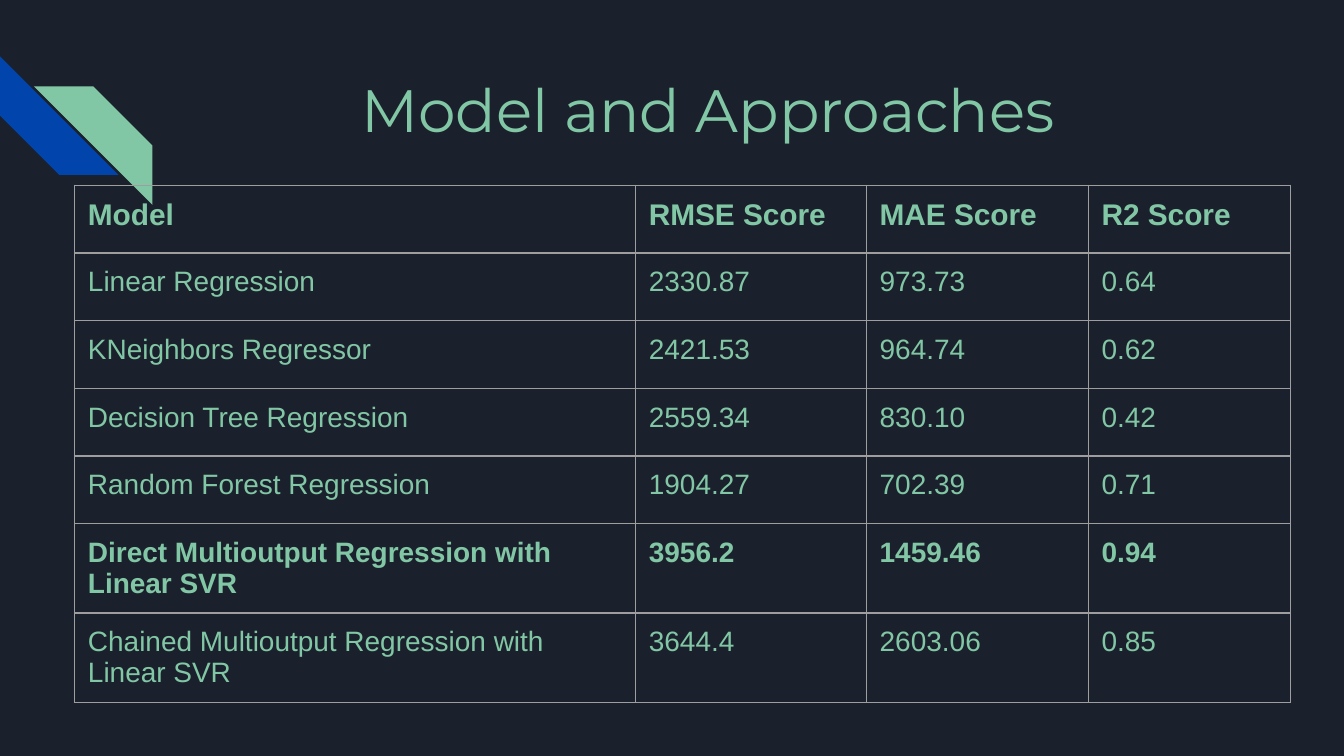
"""Build a slide with a table of regression models and their scores."""
from lxml import etree
from pptx import Presentation
from pptx.dml.color import RGBColor
from pptx.enum.shapes import MSO_SHAPE
from pptx.enum.text import MSO_ANCHOR, PP_ALIGN
from pptx.oxml.ns import qn
from pptx.util import Pt

STRIPE = MSO_SHAPE.DIAGONAL_STRIPE
CENTER = PP_ALIGN.CENTER
LEFT = PP_ALIGN.LEFT
MIDDLE = MSO_ANCHOR.MIDDLE
TOP = MSO_ANCHOR.TOP

COLORS = {"background": "1B212C", "blue": "0145AC", "green": "82C7A5", "border": "9E9E9E"}
INSET = 7.2
STRIPE_SIZE = 63.5
COL_WIDTHS = [300.5, 123.7, 118.9, 108.2]
ROW_HEIGHTS = [36.3] * 5 + [47.6] * 2
BEST_ROW = 5
ROWS = [
    ("Model", "RMSE Score", "MAE Score", "R2 Score"),
    ("Linear Regression", "2330.87", "973.73", "0.64"),
    ("KNeighbors Regressor", "2421.53", "964.74", "0.62"),
    ("Decision Tree Regression", "2559.34", "830.10", "0.42"),
    ("Random Forest Regression", "1904.27", "702.39", "0.71"),
    ("Direct Multioutput Regression with Linear SVR", "3956.2", "1459.46", "0.94"),
    ("Chained Multioutput Regression with Linear SVR", "3644.4", "2603.06", "0.85"),
]


def rgb(name):
    return RGBColor.from_string(COLORS[name])


def set_text(tf, text, size=15, font="Arial", bold=False, color="green", align=LEFT):
    p = tf.paragraphs[0]
    p.alignment = align
    r = p.add_run()
    r.text = text
    r.font.size = Pt(size)
    r.font.name = font
    r.font.bold = bold
    r.font.color.rgb = rgb(color)


def set_insets(box):
    box.margin_left = box.margin_right = Pt(INSET)
    box.margin_top = box.margin_bottom = Pt(INSET)


def add_stripe(s, left, top, color, rotation=0, flip=False):
    sp = s.shapes.add_shape(STRIPE, Pt(left), Pt(top), Pt(STRIPE_SIZE), Pt(STRIPE_SIZE))
    sp.shadow.inherit = False
    sp.fill.solid()
    sp.fill.fore_color.rgb = rgb(color)
    sp.line.fill.background()
    sp.rotation = rotation
    if flip:
        sp.element.spPr.find(qn("a:xfrm")).set("flipH", "1")


def add_title(s, text):
    sp = s.shapes.title
    sp.left, sp.top, sp.width, sp.height = Pt(102.2), Pt(31), Pt(554.4), Pt(54)
    tf = sp.text_frame
    set_insets(tf)
    tf.word_wrap = True
    tf.vertical_anchor = MIDDLE
    set_text(tf, text, size=32, font="Montserrat", align=CENTER)


def set_borders(cell, color="border", width=0.75):
    props = cell._tc.get_or_add_tcPr()
    for i, side in enumerate(("lnL", "lnR", "lnT", "lnB")):
        ln = etree.Element(qn(f"a:{side}"), w=str(Pt(width)))
        fill = etree.SubElement(ln, qn("a:solidFill"))
        etree.SubElement(fill, qn("a:srgbClr"), val=COLORS[color])
        props.insert(i, ln)


def add_score_table(s, left, top):
    frame = s.shapes.add_table(
        len(ROWS), len(COL_WIDTHS), Pt(left), Pt(top), Pt(sum(COL_WIDTHS)), Pt(sum(ROW_HEIGHTS))
    )
    table = frame.table
    table.horz_banding = table.first_row = False
    for column, width in zip(table.columns, COL_WIDTHS):
        column.width = Pt(width)
    for i, (row, height, values) in enumerate(zip(table.rows, ROW_HEIGHTS, ROWS)):
        row.height = Pt(height)
        for cell, value in zip(row.cells, values):
            cell.fill.background()
            cell.vertical_anchor = TOP
            set_insets(cell)
            set_borders(cell)
            set_text(cell.text_frame, value, size=15 if i else 16, bold=i in (0, BEST_ROW))


def main():
    prs = Presentation()
    prs.slide_width, prs.slide_height = Pt(720), Pt(405)
    s = prs.slides.add_slide(prs.slide_layouts[5])
    s.background.fill.solid()
    s.background.fill.fore_color.rgb = rgb("background")
    add_stripe(s, 0, 30.2, "blue", rotation=270)
    add_stripe(s, 18.2, 46.3, "green", flip=True)
    add_title(s, "Model and Approaches")
    add_score_table(s, 39.9, 99.2)
    prs.save("out.pptx")


if __name__ == "__main__":
    main()
